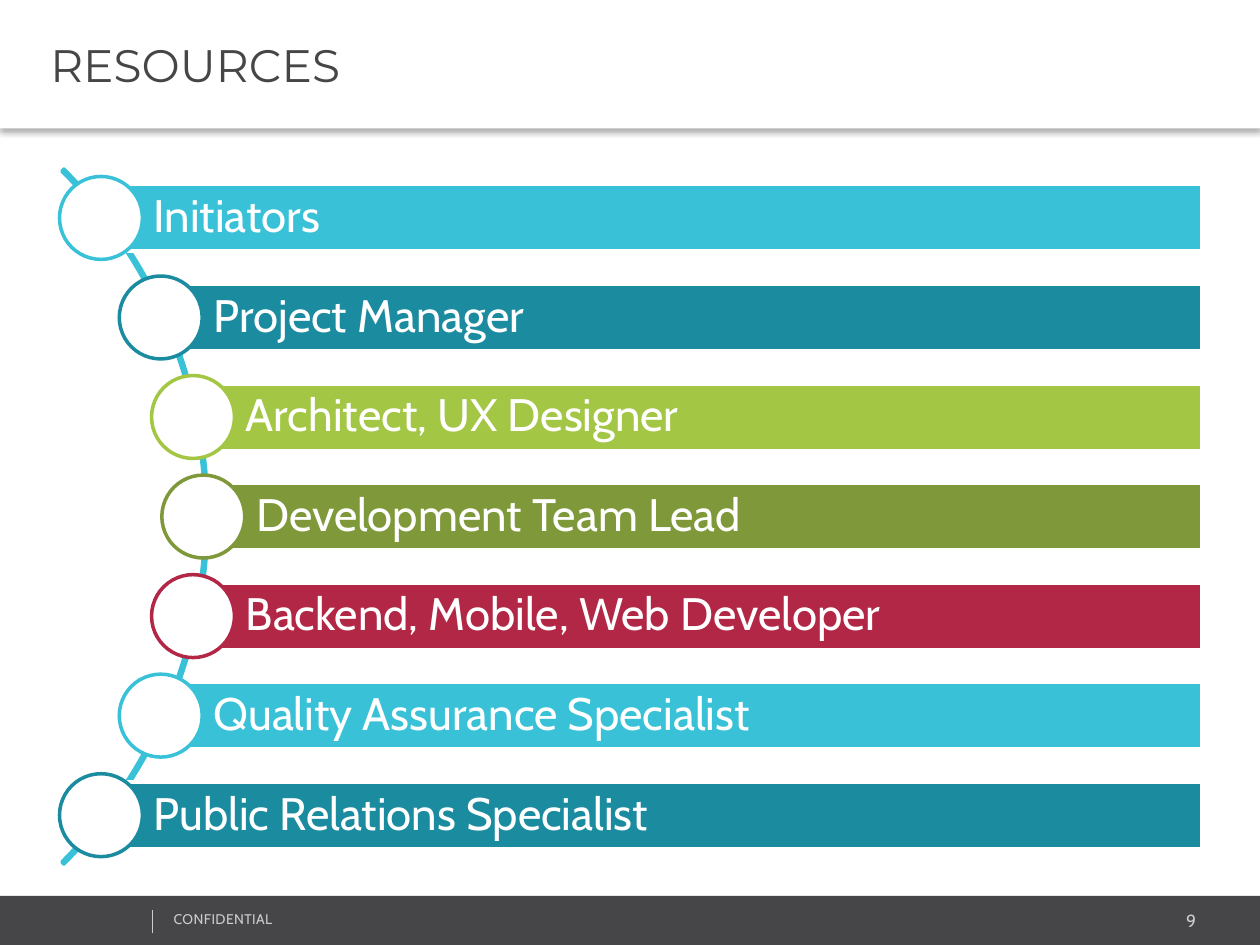
from math import sqrt

from lxml.etree import SubElement
from pptx import Presentation
from pptx.dml.color import RGBColor
from pptx.enum.shapes import MSO_CONNECTOR as Link, MSO_SHAPE as Preset
from pptx.enum.text import MSO_ANCHOR as Anchor, PP_ALIGN as Align
from pptx.oxml.ns import qn
from pptx.util import Pt

WHITE = RGBColor(0xFF, 0xFF, 0xFF)
CHARCOAL = RGBColor(0x46, 0x45, 0x47)
SILVER = RGBColor(0xCC, 0xCC, 0xCC)
CYAN = RGBColor(0x39, 0xC2, 0xD7)
TEAL = RGBColor(0x1B, 0x8B, 0xA0)
LIME = RGBColor(0xA3, 0xC6, 0x44)
OLIVE = RGBColor(0x7F, 0x99, 0x3A)
CRIMSON = RGBColor(0xB2, 0x27, 0x46)

ROLES = [
    ("Initiators", CYAN),
    ("Project Manager", TEAL),
    ("Architect, UX Designer", LIME),
    ("Development Team Lead", OLIVE),
    ("Backend, Mobile, Web Developer", CRIMSON),
    ("Quality Assurance Specialist", CYAN),
    ("Public Relations Specialist", TEAL),
]


def add_preset(page, preset, left, top, width, height, fill=None, line=None):
    shape = page.shapes.add_shape(preset, Pt(left), Pt(top), Pt(width), Pt(height))
    shape.shadow.inherit = False
    if fill is None:
        shape.fill.background()
    else:
        shape.fill.solid()
        shape.fill.fore_color.rgb = fill
    if line is None:
        shape.line.fill.background()
    else:
        shape.line.color.rgb = line
        shape.line.width = Pt(2)
    return shape


def write(shape, text, size, font, color, insets, anchor=Anchor.MIDDLE, align=Align.LEFT):
    frame = shape.text_frame
    frame.word_wrap = True
    frame.vertical_anchor = anchor
    frame.margin_left, frame.margin_top, frame.margin_right, frame.margin_bottom = map(Pt, insets)
    frame.text = text
    para = frame.paragraphs[0]
    para.alignment = align
    span = para.runs[0]
    span.font.size = Pt(size)
    span.font.name = font
    span.font.color.rgb = color
    return para


def add_header(page, left, top, width, height):
    header = add_preset(page, Preset.RECTANGLE, left, top, width, height, WHITE)
    write(header, "RESOURCES", 26, "Montserrat", CHARCOAL, (28.8, 3.6, 7.2, 3.6))
    effects = header._element.spPr.find(qn("a:effectLst"))
    shadow = SubElement(effects, qn("a:outerShdw"), blurRad=str(Pt(3.1)), dist=str(Pt(2)),
                        dir="5400000", algn="t", rotWithShape="0")
    black = SubElement(shadow, qn("a:srgbClr"), val="000000")
    SubElement(black, qn("a:alpha"), val="30000")


def add_footer(page, left, top, width, height):
    add_preset(page, Preset.RECTANGLE, left, top, width, height, CHARCOAL)
    insets = (7.2, 3.6, 7.2, 3.6)

    number = page.shapes.add_textbox(Pt(left + 573.1), Pt(top + 4.3), Pt(117.4), Pt(19.4))
    write(number, "9", 10, "Cabin", SILVER, insets, Anchor.TOP, Align.RIGHT)

    notice = page.shapes.add_textbox(Pt(left + 92.2), Pt(top + 5), Pt(182.2), Pt(17.3))
    para = write(notice, "CONFIDENTIAL", 8, "Cabin", SILVER, insets, Anchor.TOP)
    para.runs[0].font._element.set("spc", "20")

    x = Pt(left + 87.1)
    divider = page.shapes.add_connector(Link.STRAIGHT, x, Pt(top + 8), x, Pt(top + 21))
    divider.line.color.rgb = SILVER
    divider.line.width = Pt(0.25)
    SubElement(divider._element.spPr, qn("a:effectLst"))


def add_role_list(page, left, top, width, height):
    bar_height, circle_size, pitch = 38, 47.4, 56.88
    arc_size, orbit = 561.6, 278.2
    arc_x, arc_y = left - 195.8, top + height / 2

    arc = add_preset(page, Preset.BLOCK_ARC, arc_x - arc_size / 2, arc_y - arc_size / 2,
                     arc_size, arc_size, line=CYAN)
    for index, value in enumerate((189, 27, 0.003)):
        arc.adjustments[index] = value

    for index, (role, color) in enumerate(ROLES):
        offset = (index - (len(ROLES) - 1) / 2) * pitch
        x = arc_x + sqrt(orbit ** 2 - offset ** 2)
        y = arc_y + offset
        bar = add_preset(page, Preset.RECTANGLE, x, y - bar_height / 2,
                         left + width - x, bar_height, color, WHITE)
        para = write(bar, role, 26, "Cabin", WHITE, (30.2, 5, 5, 5))
        para.line_spacing = 0.9
        add_preset(page, Preset.OVAL, x - circle_size / 2, y - circle_size / 2,
                   circle_size, circle_size, WHITE, color)


def main():
    deck = Presentation()
    deck.slide_width, deck.slide_height = Pt(720), Pt(540)
    page = deck.slides.add_slide(deck.slide_layouts[6])
    add_footer(page, 0, 512, 720, 28.8)
    add_role_list(page, 33.8, 100.8, 652.7, 388.8)
    add_header(page, 0, 0, 720, 73.4)
    deck.save("out.pptx")


if __name__ == "__main__":
    main()
